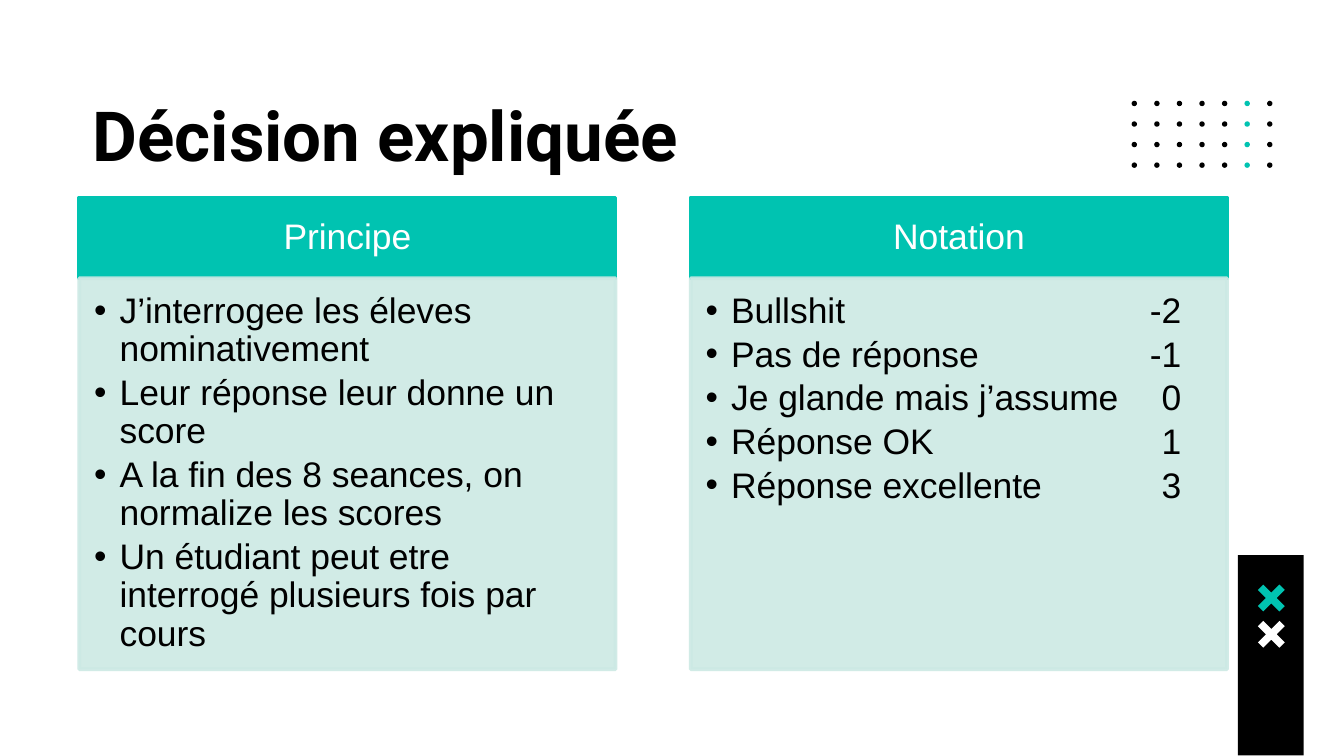
from lxml.etree import SubElement
from pptx import Presentation
from pptx.dml.color import RGBColor
from pptx.enum.shapes import MSO_SHAPE as Shape
from pptx.enum.text import MSO_ANCHOR as Anchor, MSO_AUTO_SIZE as AutoSize, PP_ALIGN as Align
from pptx.oxml.ns import qn
from pptx.util import Inches, Pt

TEAL, PALE, BLACK, WHITE = "00C3B1", "CCE9E4", "000000", "FFFFFF"


def color(value):
    return RGBColor.from_string(value)


class SlideBuilder:
    """Holds the style and the current slide."""
    font, title_font = "Arial", "Roboto"
    text_size, title_size = 19, 37

    def __init__(self, page):
        self.page = page

    def paint(self, shape, fill):
        shape.shadow.inherit = False
        shape.fill.solid()
        shape.fill.fore_color.rgb = color(fill)
        shape.line.fill.background()

    def preset(self, kind, left, top, width, height, fill):
        shape = self.page.shapes.add_shape(
            kind, Inches(left), Inches(top), Inches(width), Inches(height))
        self.paint(shape, fill)

    def cross(self, left, top, size, fill):
        arm, notch = 0.04, 0.06  # corner cut and depth of the notches
        mid, far = size / 2, size
        outline = [(arm, 0), (mid, notch), (far - arm, 0), (far, arm),
                   (far - notch, mid), (far, far - arm), (far - arm, far),
                   (mid, far - notch), (arm, far), (0, far - arm),
                   (notch, mid), (0, arm)]
        points = [(Inches(left + x), Inches(top + y)) for x, y in outline]
        builder = self.page.shapes.build_freeform(*points[0])
        builder.add_line_segments(points[1:], close=True)
        self.paint(builder.convert_to_shape(), fill)

    def placeholder(self, index, place, insets, anchor, lines):
        box = self.page.placeholders[index]
        box.left, box.top, box.width, box.height = map(Inches, place)
        frame = box.text_frame
        frame.word_wrap = True
        frame.auto_size = AutoSize.NONE
        frame.vertical_anchor = anchor
        (frame.margin_left, frame.margin_top,
         frame.margin_right, frame.margin_bottom) = map(Inches, insets)
        frame.text = "\n".join(lines)
        return box

    def format(self, para, font, size, fill, bold=False, align=Align.LEFT,
               spacing=1.0, after=0):
        para.alignment = align
        para.line_spacing = spacing
        para.space_before = Pt(0)
        para.space_after = Pt(after)
        for span in para.runs:
            span.font.name = font
            span.font.size = Pt(size)
            span.font.bold = bold
            span.font.color.rgb = color(fill)

    def panel(self, box, fill, alpha=100):
        box.fill.solid()
        box.fill.fore_color.rgb = color(fill)
        box.line.color.rgb = color(fill)
        box.line.width = Pt(2)
        if alpha < 100:
            for tone in box.element.spPr.iter(qn("a:srgbClr")):
                SubElement(tone, qn("a:alpha"), val=str(alpha * 1000))

    def title(self, text):
        box = self.placeholder(0, (0.59, 0.59, 8.86, 0.79), [0.1] * 4, Anchor.TOP, [text])
        self.format(box.text_frame.paragraphs[0], self.title_font,
                    self.title_size, BLACK, bold=True)

    def header(self, index, left, text):
        box = self.placeholder(index, (left, 1.47, 3.99, 0.6),
                               (0.15, 0.08, 0.15, 0.08), Anchor.MIDDLE, [text])
        self.panel(box, TEAL)
        self.format(box.text_frame.paragraphs[0], self.font, self.text_size,
                    WHITE, align=Align.CENTER, spacing=0.9)

    def bullets(self, index, left, lines, tab=None):
        box = self.placeholder(index, (left, 2.07, 3.99, 2.91),
                               (0.11, 0.11, 0.15, 0.17), Anchor.TOP, lines)
        self.panel(box, PALE, alpha=90)
        for para in box.text_frame.paragraphs:
            self.format(para, self.font, self.text_size, BLACK, spacing=0.9, after=2.85)
            props = para._p.get_or_add_pPr()
            props.set("marL", str(Inches(0.19)))
            props.set("indent", str(-Inches(0.19)))
            SubElement(SubElement(props, qn("a:buClr")), qn("a:srgbClr"), val=BLACK)
            SubElement(props, qn("a:buFont"), typeface=self.font)
            SubElement(props, qn("a:buChar"), char="•")
            if tab:
                stops = SubElement(props, qn("a:tabLst"))
                SubElement(stops, qn("a:tab"), pos=str(Inches(tab)), algn="r")


def main():
    deck = Presentation()
    deck.slide_width, deck.slide_height = Inches(10), Inches(10 * 9 / 16)
    slide = SlideBuilder(deck.slides.add_slide(deck.slide_layouts[4]))

    # Dot grid with one teal column
    for row in range(4):
        for column in range(7):
            slide.preset(Shape.OVAL, 8.42 + column * 0.168, 0.75 + row * 0.153,
                         0.04, 0.04, TEAL if column == 5 else BLACK)

    # Corner bar with two crosses
    slide.preset(Shape.RECTANGLE, 9.21, 4.13, 0.49, 1.49, BLACK)
    slide.cross(9.36, 4.35, 0.2, TEAL)
    slide.cross(9.36, 4.62, 0.2, WHITE)

    # Title and the two columns
    slide.title("Décision expliquée")
    slide.header(1, 0.59, "Principe")
    slide.bullets(2, 0.59, [
        "J’interrogee les éleves nominativement",
        "Leur réponse leur donne un score",
        "A la fin des 8 seances, on normalize les scores",
        "Un étudiant peut etre interrogé plusieurs fois par cours",
    ])
    slide.header(3, 5.14, "Notation")
    slide.bullets(4, 5.14, [
        "Bullshit\t-2",
        "Pas de réponse\t-1",
        "Je glande mais j’assume \t0",
        "Réponse OK\t1",
        "Réponse excellente\t3",
    ], tab=3.73)

    deck.save("out.pptx")


if __name__ == "__main__":
    main()
